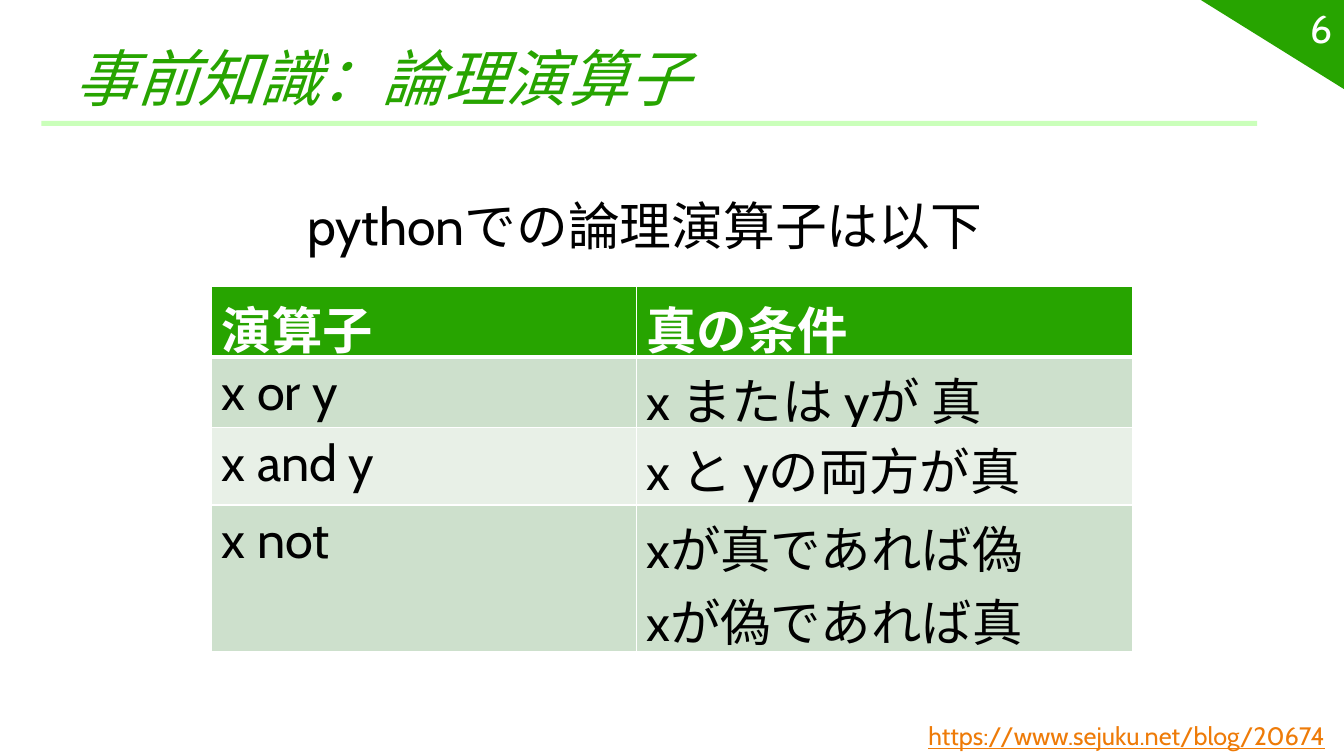
from dataclasses import dataclass

from lxml.etree import SubElement
from pptx import Presentation
from pptx.dml.color import RGBColor as Color
from pptx.enum.shapes import MSO_SHAPE as Shape
from pptx.enum.text import MSO_ANCHOR as Anchor, PP_ALIGN as Align
from pptx.oxml import parse_xml
from pptx.oxml.ns import nsdecls, qn
from pptx.util import Inches, Pt


@dataclass(frozen=True)
class Theme:
    font: str = "Cabin"
    green: str = "27A400"
    rule: str = "CAFFBA"
    band_dark: str = "CDE0CC"
    band_light: str = "E8F0E7"
    ink: str = "000000"
    white: str = "FFFFFF"
    link: str = "EE7B08"
    title_size: int = 44
    lead_size: int = 37
    table_size: int = 36
    number_size: int = 28
    link_size: int = 18


THEME = Theme()


def write(frame, text, size, color, bold=False, italic=False, underline=False,
          align=Align.LEFT, line_spacing=None):
    """Fill a text frame, one paragraph for each line of text."""
    for index, line in enumerate(text.split("\n")):
        para = frame.add_paragraph() if index else frame.paragraphs[0]
        para.alignment = align
        para.line_spacing = line_spacing
        span = para.add_run()
        span.text = line
        font = span.font
        font.name, font.size = THEME.font, Pt(size)
        font.bold, font.italic, font.underline = bold, italic, underline
        font.color.rgb = Color.from_string(color)


def set_borders(cell, color, top, bottom):
    """Draw the four cell borders; side borders are one point wide."""
    properties = cell._tc.get_or_add_tcPr()
    sides = {"lnL": 1, "lnR": 1, "lnT": top, "lnB": bottom}
    for position, (side, width) in enumerate(sides.items()):
        line = parse_xml(f'<a:{side} {nsdecls("a")} w="{Pt(width)}"><a:solidFill>'
                         f'<a:srgbClr val="{color}"/></a:solidFill></a:{side}>')
        properties.insert(position, line)


class SlideBuilder:
    def __init__(self, deck, theme):
        self.theme = theme
        self.page = deck.slides.add_slide(deck.slide_layouts[6])

    def shape(self, kind, left, top, width, height, color, rotation=0):
        shape = self.page.shapes.add_shape(
            kind, Inches(left), Inches(top), Inches(width), Inches(height))
        shape.shadow.inherit = False
        shape.fill.solid()
        shape.fill.fore_color.rgb = Color.from_string(color)
        shape.line.fill.background()
        shape.rotation = rotation

    def text(self, left, top, width, height, text, anchor=Anchor.TOP, **style):
        box = self.page.shapes.add_textbox(
            Inches(left), Inches(top), Inches(width), Inches(height))
        frame = box.text_frame
        frame.word_wrap = True
        frame.vertical_anchor = anchor
        write(frame, text, **style)

    def table(self, left, top, widths, heights, rows):
        theme = self.theme
        table = self.page.shapes.add_table(
            len(rows), len(widths), Inches(left), Inches(top),
            Inches(sum(widths)), Inches(sum(heights))).table
        for column, width in zip(table.columns, widths):
            column.width = Inches(width)
        for row, height in zip(table.rows, heights):
            row.height = Inches(height)
        for r, texts in enumerate(rows):
            header = r == 0
            band = theme.band_dark if r % 2 else theme.band_light
            for c, text in enumerate(texts):
                cell = table.cell(r, c)
                cell.fill.solid()
                cell.fill.fore_color.rgb = Color.from_string(
                    theme.green if header else band)
                set_borders(cell, theme.white, top=3 if r == 1 else 1,
                            bottom=3 if header else 1)
                write(cell.text_frame, text, size=theme.table_size, bold=header,
                      color=theme.white if header else theme.ink)


def main():
    deck = Presentation()
    deck.slide_width, deck.slide_height = Inches(13.33), Inches(7.5)
    slide = SlideBuilder(deck, THEME)

    # Corner and title rule
    slide.shape(Shape.RIGHT_TRIANGLE, 11.91, 0, 1.43, 0.89, THEME.green, rotation=180)
    slide.shape(Shape.RECTANGLE, 0.41, 1.2, 12.06, 0.05, THEME.rule)

    # Title, lead sentence and page number
    slide.text(0.64, 0.29, 12.06, 0.89, "事前知識：論理演算子", anchor=Anchor.BOTTOM,
               size=THEME.title_size, color=THEME.green, italic=True)
    slide.text(2.95, 1.56, 7.44, 0.96, "pythonでの論理演算子は以下",
               size=THEME.lead_size, color=THEME.ink, line_spacing=1.5)
    slide.text(11.43, 0.08, 1.88, 0.4, "6", anchor=Anchor.MIDDLE,
               size=THEME.number_size, color=THEME.white, align=Align.RIGHT)

    # Source address
    slide.text(9.11, 7.1, 4.22, 0.4, "https://www.sejuku.net/blog/20674",
               anchor=Anchor.MIDDLE, size=THEME.link_size, color=THEME.link,
               underline=True)

    # Operators and when they are true
    slide.table(2.1, 2.84, widths=[4.21, 4.92], heights=[0.55, 0.63, 0.77, 1.45], rows=[
        ("演算子", "真の条件"),
        ("x or y", "x または yが 真"),
        ("x and y", "x と yの両方が真"),
        ("x not", "xが真であれば偽\nxが偽であれば真"),
    ])

    deck.save("out.pptx")


if __name__ == "__main__":
    main()
